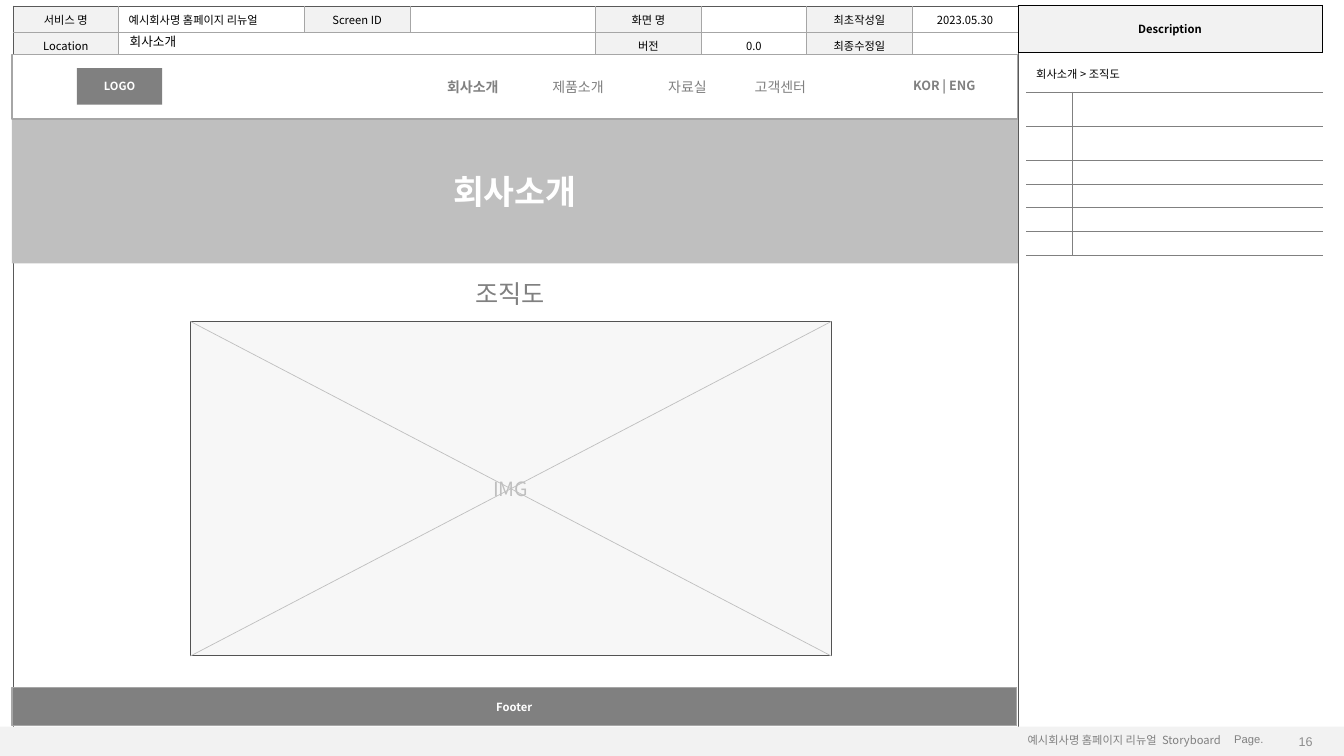
"""Build a storyboard slide: company page wireframe with a description panel."""
from lxml import etree
from pptx import Presentation
from pptx.dml.color import RGBColor
from pptx.enum.shapes import MSO_CONNECTOR, MSO_SHAPE
from pptx.enum.text import MSO_ANCHOR, MSO_AUTO_SIZE, PP_ALIGN
from pptx.oxml.ns import qn
from pptx.util import Cm, Pt

RECTANGLE, STRAIGHT = MSO_SHAPE.RECTANGLE, MSO_CONNECTOR.STRAIGHT
LEFT, CENTER, RIGHT = PP_ALIGN.LEFT, PP_ALIGN.CENTER, PP_ALIGN.RIGHT
MIDDLE, TOP = MSO_ANCHOR.MIDDLE, MSO_ANCHOR.TOP
NO_FIT, FIT_SHAPE = MSO_AUTO_SIZE.NONE, MSO_AUTO_SIZE.SHAPE_TO_FIT_TEXT
SANS, ARIAL = "Noto Sans CJK KR", "Arial"
COLORS = {
    "white": "FFFFFF", "black": "000000", "pale": "F2F2F2", "silver": "BFBFBF",
    "border": "A6A6A6", "number": "8C8C8C", "gray": "808080",
    "frame": "595959", "outline": "535353",
}

PROJECT = "예시회사명 홈페이지 리뉴얼"
PAGE_TITLE = "회사소개"
INFO_ROWS = [
    ["서비스 명", PROJECT, "Screen ID", "", "화면 명", "", "최초작성일", "2023.05.30"],
    ["Location", "", "", "", "버전", "0.0", "최종수정일", ""],
    [""] * 8,
]
INFO_WIDTHS = [2.66, 4.68, 2.66, 4.68, 2.66, 2.66, 2.66, 2.66]
INFO_HEIGHTS = [0.66, 0.66, 16.84]
LABEL_COLUMNS = (0, 2, 4, 6)
NOTE_ROWS = [["회사소개 > 조직도", ""]] + [["", ""] for _ in range(6)]
NOTE_WIDTHS = [1.17, 6.3]
NOTE_HEIGHTS = [0.91, 0.86, 0.86, 0.6, 0.6, 0.6, 0.6]
MENU = [
    ("회사소개", 11.02, 1.93, 10, True),
    ("제품소개", 13.67, 1.93, 10, False),
    ("자료실", 16.59, 1.57, 10, False),
    ("고객센터", 18.77, 1.93, 10, False),
    ("KOR | ENG", 22.76, 2.16, 9, True),
]
IMAGE_BOX = (4.8, 8.1, 16.15, 8.43)


def rgb(name):
    return RGBColor.from_string(COLORS[name])


def lengths(box):
    return [Cm(value) for value in box]


def write(frame, text, size, color, bold=False, align=LEFT, font=SANS):
    paragraph = frame.paragraphs[0]
    paragraph.alignment = align
    run = paragraph.add_run()
    run.text = text
    run.font.size = Pt(size)
    run.font.bold = bold
    run.font.color.rgb = rgb(color)
    run.font.name = font
    latin = run.font.fill and run._r.rPr.find(qn("a:latin"))
    east_asian = etree.Element(qn("a:ea"), typeface=font)
    latin.addnext(east_asian)


def add_label(shapes, text, box, size, color, bold=False, font=SANS):
    label = shapes.add_textbox(*lengths(box))
    label.text_frame.word_wrap = False
    label.text_frame.auto_size = FIT_SHAPE
    write(label.text_frame, text, size, color, bold, font=font)


def add_block(shapes, box, fill, line=None, width=1, text="", size=8, color="white", bold=True):
    block = shapes.add_shape(RECTANGLE, *lengths(box))
    block.shadow.inherit = False
    block.fill.solid()
    block.fill.fore_color.rgb = rgb(fill)
    if line:
        block.line.color.rgb = rgb(line)
        block.line.width = Pt(width)
    else:
        block.line.fill.background()
    if text:
        block.text_frame.vertical_anchor = MIDDLE
        write(block.text_frame, text, size, color, bold, CENTER)
    return block


def set_borders(cell, colors, width):
    properties = cell._tc.get_or_add_tcPr()
    for side, color in zip("LRTB", colors):
        edge = etree.SubElement(properties, qn(f"a:ln{side}"), w=str(Pt(width)))
        if color:
            solid = etree.SubElement(edge, qn("a:solidFill"))
            etree.SubElement(solid, qn("a:srgbClr"), val=COLORS[color])
        else:
            etree.SubElement(edge, qn("a:noFill"))


def add_grid(shapes, left, top, widths, heights, rows, style):
    """Draw a table; style(row, column) gives fill, borders, line width, alignment and bold."""
    box = (left, top, sum(widths), sum(heights))
    table = shapes.add_table(len(rows), len(widths), *lengths(box)).table
    table.first_row = table.horz_banding = False
    for column, width in zip(table.columns, widths):
        column.width = Cm(width)
    for row, height in zip(table.rows, heights):
        row.height = Cm(height)
    for row_index, row in enumerate(rows):
        for column_index, text in enumerate(row):
            cell = table.cell(row_index, column_index)
            fill, borders, width, align, bold = style(row_index, column_index)
            set_borders(cell, borders, width)
            if fill:
                cell.fill.solid()
                cell.fill.fore_color.rgb = rgb(fill)
            else:
                cell.fill.background()
            cell.vertical_anchor = MIDDLE
            if text:
                write(cell.text_frame, text, 8, "black", bold, align)
            else:
                paragraph = cell.text_frame.paragraphs[0]
                etree.SubElement(paragraph._p, qn("a:endParaRPr"), sz="600")
    return table


def info_style(row, column):
    is_label = row < 2 and column in LABEL_COLUMNS
    borders = (
        "frame" if column == 0 else "border",
        "frame" if column == 7 or row == 2 else "border",
        "frame" if row in (0, 2) else "border",
        "frame" if row > 0 else "border",
    )
    align = LEFT if column == 1 else CENTER
    return "pale" if is_label else "white", borders, 0.5, align, False


def heading_style(row, column):
    return "pale", ("black",) * 4, 0.5, CENTER, True


def note_style(row, column):
    if row == 0:
        return "white", (None, None, None, "gray"), 0.25, LEFT, False
    divider = ("gray", None) if column else (None, "gray")
    return None, divider + ("gray", "gray"), 0.25, LEFT, False


def add_image_area(slide):
    shapes = slide.shapes.add_group_shape().shapes
    area = add_block(shapes, IMAGE_BOX, "pale", "outline", 0.75, "IMG", 14, "silver", False)
    tint = area.fill._xPr.find(qn("a:solidFill"))[0]
    etree.SubElement(tint, qn("a:alpha"), val="60000")
    left, top, width, height = IMAGE_BOX
    right, bottom = left + width, top + height
    for start, end in ((top, bottom), (bottom, top)):
        diagonal = shapes.add_connector(STRAIGHT, *lengths((left, start, right, end)))
        diagonal.line.color.rgb = rgb("silver")
        diagonal.line.width = Pt(0.5)
        etree.SubElement(diagonal.element.spPr, qn("a:effectLst"))


def place_title(slide):
    title = slide.shapes.title
    title.left, title.top, title.width, title.height = lengths((0.3, 2.98, 25.35, 3.66))
    title.fill.solid()
    title.fill.fore_color.rgb = rgb("silver")
    title.text_frame.auto_size = NO_FIT
    title.text_frame.vertical_anchor = MIDDLE
    write(title.text_frame, PAGE_TITLE, 24, "white", True, CENTER)
    title.element.getparent().append(title.element)


def add_site_header(slide):
    shapes = slide.shapes.add_group_shape().shapes
    add_block(shapes, (0.3, 1.38, 25.35, 1.62), "white", "border")
    add_block(shapes, (1.94, 1.72, 2.15, 0.92), "gray", text="LOGO")
    for text, left, width, size, bold in MENU:
        add_label(shapes, text, (left, 1.85, width, 0.68), size, "gray", bold)


def main():
    presentation = Presentation()
    presentation.slide_width, presentation.slide_height = Cm(33.87), Cm(19.05)
    slide = presentation.slides.add_slide(presentation.slide_layouts[5])
    shapes = slide.shapes

    info = add_grid(shapes, 0.33, 0.15, INFO_WIDTHS, INFO_HEIGHTS, INFO_ROWS, info_style)
    info.cell(1, 1).merge(info.cell(1, 3))
    info.cell(2, 0).merge(info.cell(2, 7))
    add_block(shapes, (0, 18.31, 33.87, 0.74), "pale")
    add_label(shapes, "Page.", (30.85, 18.34, 1.25, 0.6), 8, "gray", font=ARIAL)
    add_grid(shapes, 25.65, 0.13, [7.67], [1.19], [["Description"]], heading_style)
    add_label(shapes, f"{PROJECT}  Storyboard", (25.65, 18.36, 5.77, 0.6), 8, "gray")
    number = shapes.add_textbox(*lengths((31.83, 18.34, 1.5, 0.69)))
    number.text_frame.word_wrap = True
    number.text_frame.vertical_anchor = MIDDLE
    write(number.text_frame, "16", 9, "number", align=RIGHT, font=ARIAL)
    add_label(shapes, "회사소개", (3.02, 0.72, 1.8, 0.64), 9, "black")
    notes = add_grid(shapes, 25.86, 1.4, NOTE_WIDTHS, NOTE_HEIGHTS, NOTE_ROWS, note_style)
    notes.cell(0, 0).merge(notes.cell(0, 1))
    add_label(shapes, "조직도", (11.73, 6.88, 2.44, 1.02), 18, "gray")

    add_image_area(slide)
    add_block(shapes, (0.3, 17.32, 25.32, 0.97), "gray", "border", text="Footer")
    place_title(slide)
    add_site_header(slide)
    presentation.save("out.pptx")


if __name__ == "__main__":
    main()
